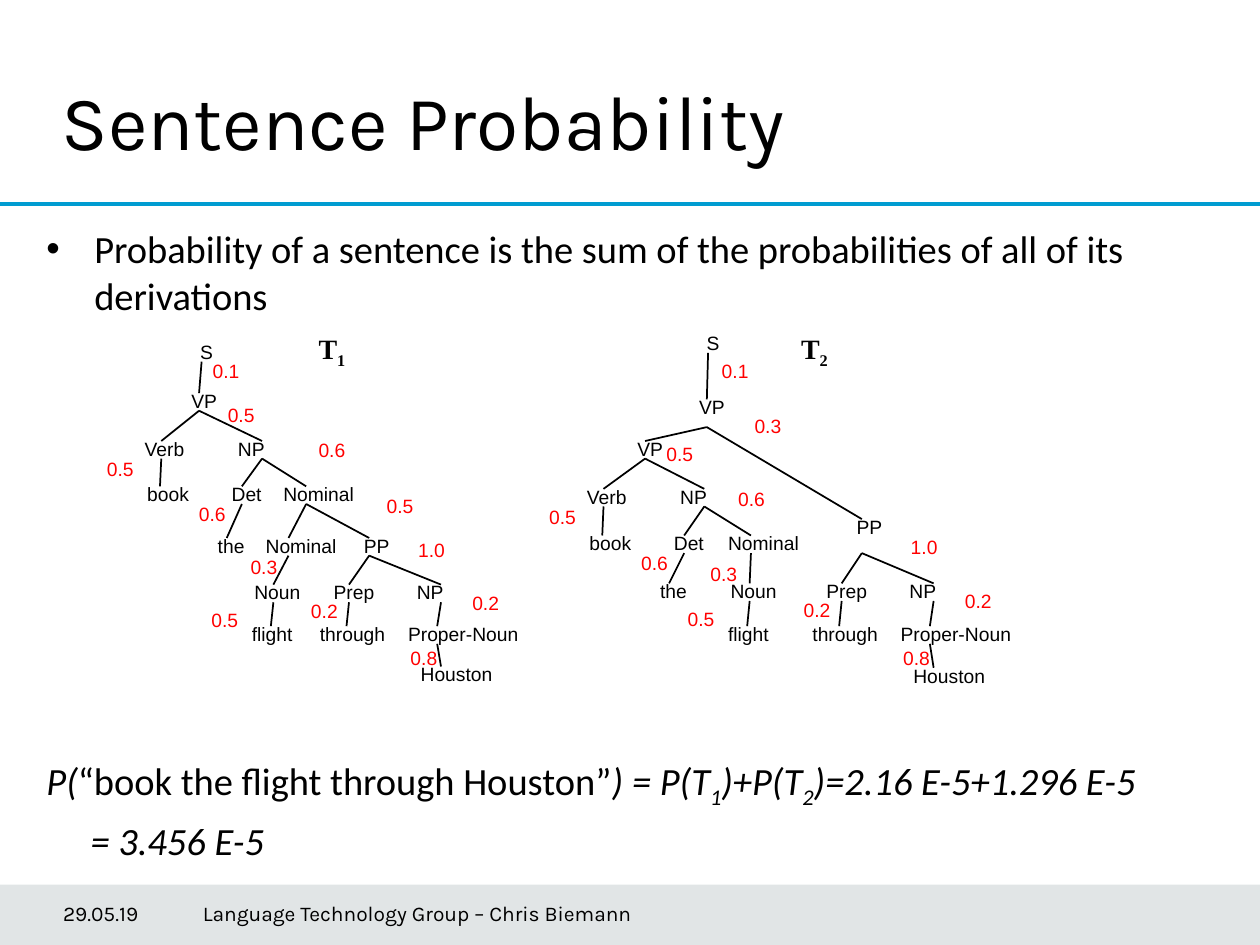
from dataclasses import dataclass
from lxml.etree import SubElement
from pptx import Presentation
from pptx.dml.color import RGBColor
from pptx.enum.shapes import MSO_CONNECTOR as CONN, MSO_SHAPE as SHAPE
from pptx.enum.text import MSO_ANCHOR as ANCHOR
from pptx.oxml.ns import qn
from pptx.util import Cm, Pt

BLACK, RED, BLUE, SLATE = "000000", "FF0000", "009CD1", "3B515B"

# Inches from the left of a word's label to the point where its edges meet
STEM = {"S": 0.11, "VP": 0.16, "NP": 0.29, "PP": 0.14, "Verb": 0.23, "Det": 0.18,
        "Nominal": 0.28, "Noun": 0.25, "Prep": 0.22, "Proper-Noun": 0.33, "book": 0.2,
        "the": 0.17, "flight": 0.25, "through": 0.31, "Houston": 0.26}
EDGE_IN, EDGE_OUT = 0.08, 0.22  # edge ends, below the top of a row


def color(hex_code):
    return RGBColor.from_string(hex_code)


def inch(value):
    return Cm(value * 2.54)


@dataclass
class Node:
    word: str
    dx: float              # label left, from the parent's label left
    prob: str = ""         # probability of the rule that expands this node
    prob_at: tuple = ()    # its place, from the label left and the row top
    children: tuple = ()
    rows_down: int = 1     # rows below the parent
    lift: float = 0        # how far the label sits above its row


class SlideBuilder:
    label_font, body_font, head_font, tree_font = "Arial", "Calibri", "Karla", "Times New Roman"
    label_size, name_size, body_size = 11, 16, 22

    def __init__(self, slide):
        self.s = slide
        self.shapes = slide.shapes

    def band(self, x, y, w, h, fill, alpha):
        sp = self.shapes.add_shape(SHAPE.RECTANGLE, *map(inch, (x, y, w, h)))
        sp.shadow.inherit = False
        sp.line.fill.background()
        sp.fill.solid()
        sp.fill.fore_color.rgb = color(fill)
        clr = sp._element.spPr.find(".//" + qn("a:srgbClr"))
        SubElement(clr, qn("a:alpha")).set("val", str(alpha * 1000))

    def line(self, x1, y1, x2, y2, stroke=BLACK, width=1):
        c = self.shapes.add_connector(CONN.STRAIGHT, *map(inch, (x1, y1, x2, y2)))
        c.line.color.rgb = color(stroke)
        c.line.width = Pt(width)
        SubElement(c._element.spPr, qn("a:effectLst"))

    def frame(self, x, y, w, h, anchor=ANCHOR.TOP, left=0.1):
        tf = self.shapes.add_textbox(*map(inch, (x, y, w, h))).text_frame
        tf.word_wrap = True
        tf.vertical_anchor = anchor
        tf.margin_left = inch(left)
        return tf

    def style(self, r, font, size, fill=BLACK, bold=False, italic=False, sub=False):
        f = r.font
        f.name, f.size, f.bold, f.italic = font, Pt(size), bold, italic
        f.color.rgb = color(fill)
        if sub:
            f._element.set("baseline", "-25000")

    def text(self, x, y, w, h, words, font, size, fill=BLACK, **frame):
        tf = self.frame(x, y, w, h, **frame)
        tf.text = words
        self.style(tf.paragraphs[0].runs[0], font, size, fill)

    def label(self, words, x, y, fill=BLACK):
        self.text(x, y, 0.3 + 0.1 * len(words), 0.4, words, self.label_font, self.label_size, fill)

    def tree(self, number, name_x, name_y, root, root_x, row_tops):
        self.shapes = self.s.shapes.add_group_shape().shapes
        p = self.frame(name_x, name_y, 0.6, 0.5).paragraphs[0]
        for words, sub in (("T", False), (number, True)):
            r = p.add_run()
            r.text = words
            self.style(r, self.tree_font, self.name_size, bold=True, sub=sub)
        self.branch(root, root_x, 0, row_tops)
        self.shapes = self.s.shapes

    def branch(self, node, x, row, row_tops):
        """Draw a node, its probability, and the edges to its children."""
        top = row_tops[row]
        self.label(node.word, x, top - node.lift)
        if node.prob:
            dx, dy = node.prob_at
            self.label(node.prob, x + dx, top + dy, RED)
        for child in node.children:
            child_x, child_row = x + child.dx, row + child.rows_down
            self.line(x + STEM[node.word], top + EDGE_OUT,
                      child_x + STEM[child.word], row_tops[child_row] - child.lift + EDGE_IN)
            self.branch(child, child_x, child_row, row_tops)

    def body(self, x, y, w, h, paragraphs):
        tf = self.frame(x, y, w, h)
        for i, (before, left, bullet, runs) in enumerate(paragraphs):
            p = tf.add_paragraph() if i else tf.paragraphs[0]
            p.space_before = Pt(before)
            pPr = p._p.get_or_add_pPr()
            pPr.set("marL", str(inch(left)))
            if bullet:
                pPr.set("indent", str(-inch(left)))
                SubElement(pPr, qn("a:buFont")).set("typeface", "Arial")
                SubElement(pPr, qn("a:buChar")).set("char", bullet)
            for words, *marks in runs:
                r = p.add_run()
                r.text = words
                self.style(r, self.body_font, self.body_size,
                           italic="italic" in marks, sub="sub" in marks)


# Phrases that both derivations share
def verb(dx):
    return Node("Verb", dx, "0.5", (-0.3, 0.16), (Node("book", 0.02),))


def noun(dx):
    return Node("Noun", dx, "0.5", (-0.34, 0.22), (Node("flight", -0.02),))


def noun_phrase(dx, prob_at, nominal):
    det = Node("Det", -0.05, "0.6", (-0.26, 0.16), (Node("the", -0.11),))
    return Node("NP", dx, "0.6", prob_at, (det, nominal))


def prep_phrase(dx, **place):
    prep = Node("Prep", -0.24, "0.2", (-0.18, 0.15), (Node("through", -0.11),))
    proper = Node("Proper-Noun", -0.07, "0.8", (0.02, 0.19), (Node("Houston", 0.1),))
    return Node("PP", dx, "1.0", (0.43, 0.03),
                (prep, Node("NP", 0.42, "0.2", (0.44, 0.08), (proper,))), **place)


def noun_attachment():
    """The prepositional phrase belongs to the nominal."""
    inner = Node("Nominal", -0.14, "0.3", (-0.12, 0.17), (noun(-0.09),))
    outer = Node("Nominal", 0.36, "0.5", (0.82, 0.09), (inner, prep_phrase(0.64)))
    vp = Node("VP", -0.07, "0.5", (0.29, 0.11),
              (verb(-0.37), noun_phrase(0.37, (0.64, 0.01), outer)))
    return Node("S", 0, "0.1", (0.1, 0.15), (vp,))


def verb_attachment():
    """The prepositional phrase belongs to the verb phrase."""
    nominal = Node("Nominal", 0.38, "0.3", (-0.14, 0.24), (noun(0.02),))
    inner = Node("VP", -0.49, "0.5", (0.23, 0.04),
                 (verb(-0.4), noun_phrase(0.34, (0.46, 0.02), nominal)))
    outer = Node("VP", -0.06, "0.3", (0.44, 0.07),
                 (inner, prep_phrase(1.25, rows_down=3, lift=0.13)), lift=0.08)
    return Node("S", 0, "0.1", (0.12, 0.22), (outer,))


# Body paragraphs: space before, left margin, bullet, runs
BODY = [
    (0, 0.38, "•", [("Probability of a sentence is the sum of the probabilities "
                     "of all of its derivations",)]),
    (251, 0, None, [
        ("P(", "italic"), ("“book the flight through Houston”",), (") = P(T", "italic"),
        ("1", "italic", "sub"), (")+P(T", "italic"), ("2", "italic", "sub"),
        (")=2.16 E-5+1.296 E-5", "italic")]),
    (4.4, 0.35, None, [("= 3.456 E-5", "italic")]),
]


def main():
    prs = Presentation()
    prs.slide_width, prs.slide_height = inch(10), inch(7.5)
    b = SlideBuilder(prs.slides.add_slide(prs.slide_layouts[6]))

    # Footer band and header rule
    b.band(0, 7.02, 10, 0.48, SLATE, 15)
    b.line(0, 1.62, 10, 1.62, BLUE, 2)

    # Title and body
    b.text(0.39, 0.49, 7.52, 0.92, "Sentence Probability", b.head_font, 44, anchor=ANCHOR.MIDDLE)
    b.body(0.27, 1.74, 9.45, 5.24, BODY)

    # Parse trees, with the top of each row of words
    b.tree("1", 2.43, 2.58, noun_attachment(), 1.49,
           (2.65, 3.04, 3.42, 3.78, 4.19, 4.56, 4.89, 5.21))
    b.tree("2", 6.26, 2.58, verb_attachment(), 5.51,
           (2.58, 3.17, 3.42, 3.8, 4.17, 4.55, 4.89, 5.22))

    # Footer texts
    for x, w, words in ((0.5, 0.99, "29.05.19"),
                        (1.57, 4.95, " Language Technology Group – Chris Biemann")):
        b.text(x, 7.05, w, 0.4, words, b.head_font, 12, anchor=ANCHOR.MIDDLE, left=0)

    prs.save("out.pptx")


if __name__ == "__main__":
    main()
